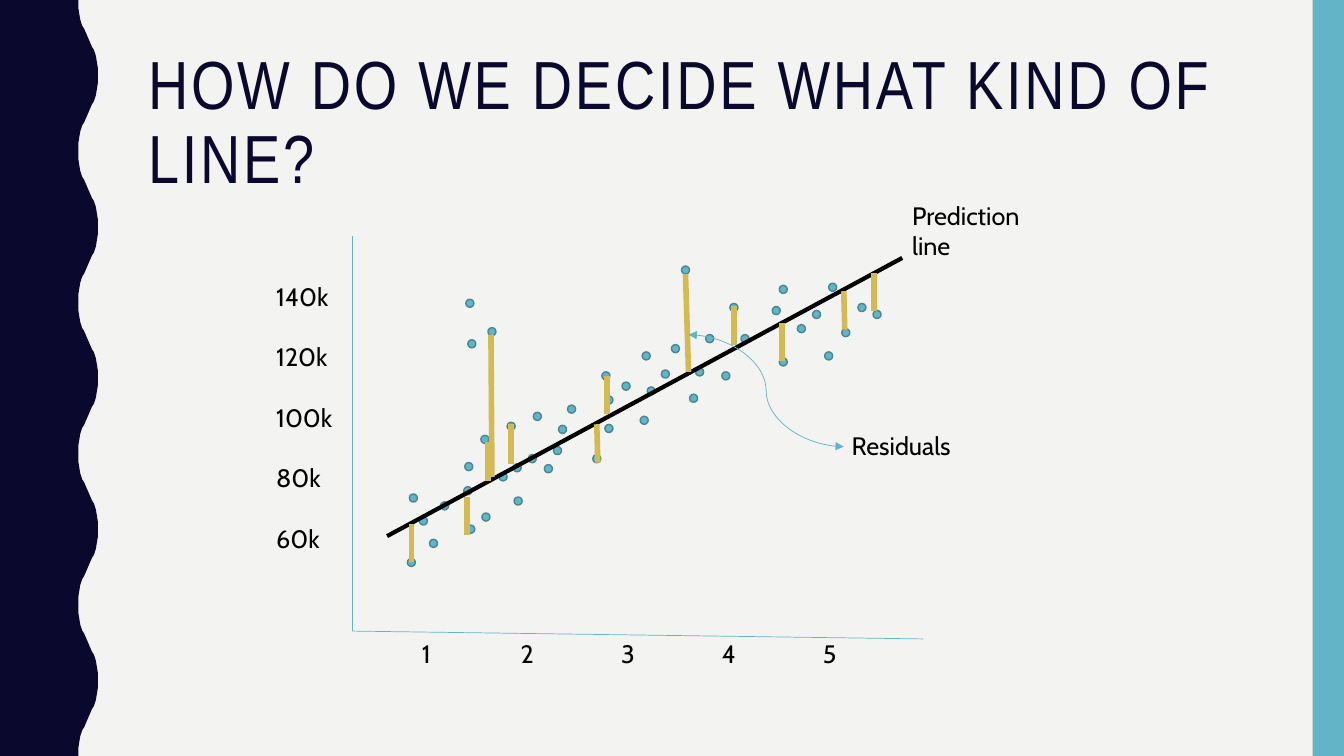
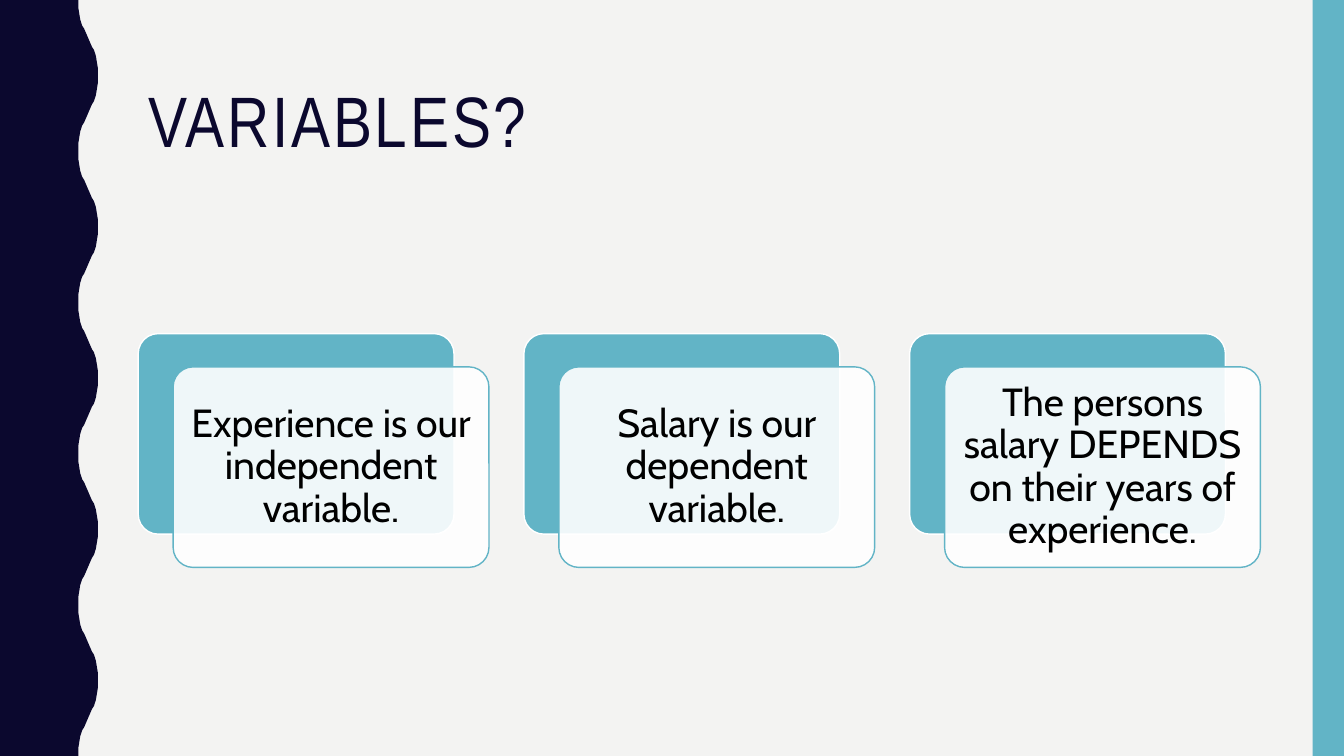
import lxml.etree
import pptx
import pptx.dml.color
import pptx.enum.shapes
import pptx.enum.text
import pptx.oxml.ns
import pptx.util

SHAPE = pptx.enum.shapes.MSO_SHAPE
CONNECTOR = pptx.enum.shapes.MSO_CONNECTOR
ANCHOR = pptx.enum.text.MSO_ANCHOR
ALIGN = pptx.enum.text.PP_ALIGN

NAVY, TEAL, TEAL_DARK, GOLD = "0B082E", "62B4C6", "498592", "D3BA55"
PAPER, WHITE, BLACK = "F3F3F2", "FFFFFF", "000000"
HEAD_FONT, BODY_FONT = "Arial Narrow", "Cabin"

WIDTH, HEIGHT = pptx.util.Inches(13.33), pptx.util.Inches(7.5)
COL, ROW = WIDTH / 100, HEIGHT / 100

WAVE_BAND = (0, 0, 7.28, 100)
SIDE_BAND = (97.67, 0, 2.33, 100)
TITLE_BOX = (10.28, 5.6, 83.5, 21.73)
PLOT_BOX = (24.23, 31.2, 45, 53.33)
CARDS_BOX = (10.28, 44.13, 83.5, 30.93)

HALF_WAVE = [
    (0.8, 0), (0.8, 0.05), (0.81, 0.09), (0.82, 0.13), (0.84, 0.17),
    (0.86, 0.19), (0.88, 0.22), (0.9, 0.25), (0.92, 0.28), (0.94, 0.31),
    (0.96, 0.33), (0.98, 0.37), (0.99, 0.41), (1, 0.45), (1, 0.5),
]

YEARS, SALARY_TOP, SALARY_SPAN = 6, 160, 133.33
SALARIES = [
    (0.85, 52), (0.87, 73.3), (0.97, 65.7), (1.07, 58.3), (1.18, 70.7),
    (1.41, 75.7), (1.42, 83.7), (1.43, 137.7), (1.44, 63), (1.45, 124.3),
    (1.58, 92.7), (1.59, 67), (1.65, 128.3), (1.76, 80.3), (1.84, 97),
    (1.9, 83.3), (1.91, 72.3), (2.05, 86.3), (2.1, 100.3), (2.21, 83),
    (2.3, 89), (2.35, 96), (2.44, 102.7), (2.69, 86.3), (2.78, 113.7),
    (2.81, 105.7), (2.81, 96.3), (2.98, 110.3), (3.16, 99), (3.18, 120.3),
    (3.23, 108.7), (3.37, 114.3), (3.47, 122.7), (3.57, 148.7), (3.65, 106.3),
    (3.71, 115), (3.81, 126), (3.97, 113.7), (4.05, 136.3), (4.16, 126),
    (4.47, 135.3), (4.54, 142.3), (4.54, 118.3), (4.72, 129.3), (4.87, 134),
    (4.99, 120.3), (5.03, 143), (5.16, 128), (5.32, 136.3), (5.47, 134),
]
RESIDUALS = [
    ((1.61, 91.7), (1.61, 79)), ((1.84, 97.7), (1.84, 84.7)),
    ((3.57, 147.3), (3.6, 115)), ((1.4, 73.7), (1.4, 61)),
    ((4.53, 131.3), (4.53, 118.7)), ((2.69, 97.7), (2.7, 85)),
    ((2.79, 113.7), (2.79, 101)), ((0.85, 64.7), (0.85, 52)),
    ((1.64, 127.3), (1.65, 80.3)), ((5.14, 141.7), (5.15, 129)),
    ((4.05, 136.7), (4.05, 124)), ((5.44, 147.7), (5.44, 135)),
]


def rgb(value):
    """Turn a hex string into a colour."""
    return pptx.dml.color.RGBColor.from_string(value)


def place(box):
    """Convert a box in grid columns and rows to slide lengths."""
    l, t, w, h = box
    return [pptx.util.Emu(round(v)) for v in (l * COL, t * ROW, w * COL, h * ROW)]


def sub(parent, tag, **attrs):
    """Append an XML child such as a:effectLst."""
    return lxml.etree.SubElement(parent, pptx.oxml.ns.qn(tag), **attrs)


def paint(sp, fill, line=None, alpha=None):
    """Give a shape a flat fill and an optional thin outline."""
    sp.shadow.inherit = False
    sp.fill.solid()
    sp.fill.fore_color.rgb = rgb(fill)
    if alpha is not None:
        clr = sp.element.spPr.find(".//" + pptx.oxml.ns.qn("a:srgbClr"))
        sub(clr, "a:alpha", val=str(alpha * 1000))
    if line:
        sp.line.color.rgb = rgb(line)
        sp.line.width = pptx.util.Pt(1)
    else:
        sp.line.fill.background()
    return sp


def add_shape(s, kind, box, fill, **look):
    """Add a painted preset shape."""
    return paint(s.shapes.add_shape(kind, *place(box)), fill, **look)


def write(sp, text, size=18, font=BODY_FONT, color=BLACK, align=ALIGN.LEFT,
          anchor=ANCHOR.MIDDLE, leading=None, spacing=None):
    """Write one formatted paragraph into a shape."""
    tf = sp.text_frame
    tf.word_wrap = True
    tf.vertical_anchor = anchor
    p = tf.paragraphs[0]
    p.alignment = align
    if leading:
        p.line_spacing = leading
    r = p.add_run()
    r.text = text
    r.font.size = pptx.util.Pt(size)
    r.font.name = font
    r.font.color.rgb = rgb(color)
    if spacing:
        r.font._element.set("spc", str(spacing * 100))


def add_text(s, box, text, **fmt):
    """Add a text box."""
    write(s.shapes.add_textbox(*place(box)), text, **fmt)


def add_line(s, start, end, color, width, kind=CONNECTOR.STRAIGHT, arrows=False):
    """Join two grid points with a connector."""
    c = s.shapes.add_connector(kind, *place(start + end))
    c.line.color.rgb = rgb(color)
    c.line.width = pptx.util.Pt(width)
    if arrows:
        ln = c.element.spPr.find(pptx.oxml.ns.qn("a:ln"))
        for tag in ("a:headEnd", "a:tailEnd"):
            sub(ln, tag, type="triangle")
    sub(c.element.spPr, "a:effectLst")


def add_wave(s, box, waves=5):
    """Draw the band with a rippling right edge."""
    l, t, w, h = place(box)
    one_wave = HALF_WAVE + [(x, 1 - y) for x, y in HALF_WAVE[-2::-1]]
    edge = [(l + w * x, t + h * (i + y) / waves)
            for i in range(waves) for x, y in one_wave]
    fb = s.shapes.build_freeform(l, t)
    fb.add_line_segments(edge + [(l, t + h)], close=True)
    paint(fb.convert_to_shape(), NAVY)


def add_base(prs, title, size):
    """Add a slide with its side bands and title."""
    s = prs.slides.add_slide(prs.slide_layouts[6])
    add_wave(s, WAVE_BAND)
    add_shape(s, SHAPE.RECTANGLE, SIDE_BAND, TEAL)
    add_text(s, TITLE_BOX, title, size=size, font=HEAD_FONT, color=NAVY,
             leading=0.9, spacing=2)
    return s


def add_plot(s, box):
    """Draw salaries against years with the prediction line and residuals."""
    l, t, w, h = box

    def at(year, salary):
        """Find the grid point of a pair of values."""
        return l + w * year / YEARS, t + h * (SALARY_TOP - salary) / SALARY_SPAN

    def label(text, year, salary, cols=10.35, rows=5.33, **fmt):
        """Write a label whose left edge is centred on a point."""
        x, y = at(year, salary)
        add_text(s, (x, y - rows / 2, cols, rows), text, **fmt)

    origin = at(0.26, 29.3)
    add_line(s, at(0.26, 160), origin, TEAL, 0.5)
    add_line(s, origin, at(5.93, 26.7), TEAL, 0.5)
    for salary in range(140, 40, -20):
        label(f"{salary}k", -0.59, salary, cols=6.8)
    for year in range(1, 6):
        label(str(year), year - 0.25, 22, cols=3.75, align=ALIGN.CENTER)

    dot_w, dot_h = 0.6, 1.07
    for point in SALARIES:
        x, y = at(*point)
        add_shape(s, SHAPE.OVAL, (x - dot_w / 2, y - dot_h / 2, dot_w, dot_h),
                  TEAL, line=TEAL_DARK)
    add_line(s, at(0.61, 60.7), at(5.72, 152.7), BLACK, 3)
    for start, end in RESIDUALS:
        add_line(s, at(*start), at(*end), GOLD, 4)

    label("Prediction line", 5.72, 161.8, rows=9.47)
    label("Residuals", 5.12, 90.7)
    add_line(s, at(3.6, 127.3), at(5.14, 90.3), TEAL, 0.5,
             kind=CONNECTOR.CURVE, arrows=True)


def add_card(s, box, text, dx, dy):
    """Draw a see-through text card over a solid one."""
    l, t, w, h = box
    back = add_shape(s, SHAPE.ROUNDED_RECTANGLE, (l, t, w - dx, h - dy),
                     TEAL, line=WHITE)
    front = add_shape(s, SHAPE.ROUNDED_RECTANGLE, (l + dx, t + dy, w - dx, h - dy),
                      WHITE, line=TEAL, alpha=90)
    for sp in (back, front):
        sp.adjustments[0] = 0.1
    write(front, text, size=28, align=ALIGN.CENTER, leading=0.9)


def add_cards(s, box, texts, gap=2.6, drop=4.4):
    """Spread equal cards across a box."""
    l, t, w, h = box
    card_w = (w - gap * (len(texts) - 1)) / len(texts)
    for i, text in enumerate(texts):
        add_card(s, (l + i * (card_w + gap), t, card_w, h), text, gap, drop)


def main():
    """Build and save the presentation."""
    prs = pptx.Presentation()
    prs.slide_width, prs.slide_height = WIDTH, HEIGHT
    bg = prs.slide_master.background.fill
    bg.solid()
    bg.fore_color.rgb = rgb(PAPER)

    add_plot(add_base(prs, "HOW DO WE DECIDE WHAT KIND OF LINE?", 48.6), PLOT_BOX)
    add_cards(add_base(prs, "VARIABLES?", 51), CARDS_BOX, [
        "Experience is our independent variable.",
        "Salary is our dependent variable.",
        "The persons salary DEPENDS on their years of experience.",
    ])
    prs.save("out.pptx")


if __name__ == "__main__":
    main()
